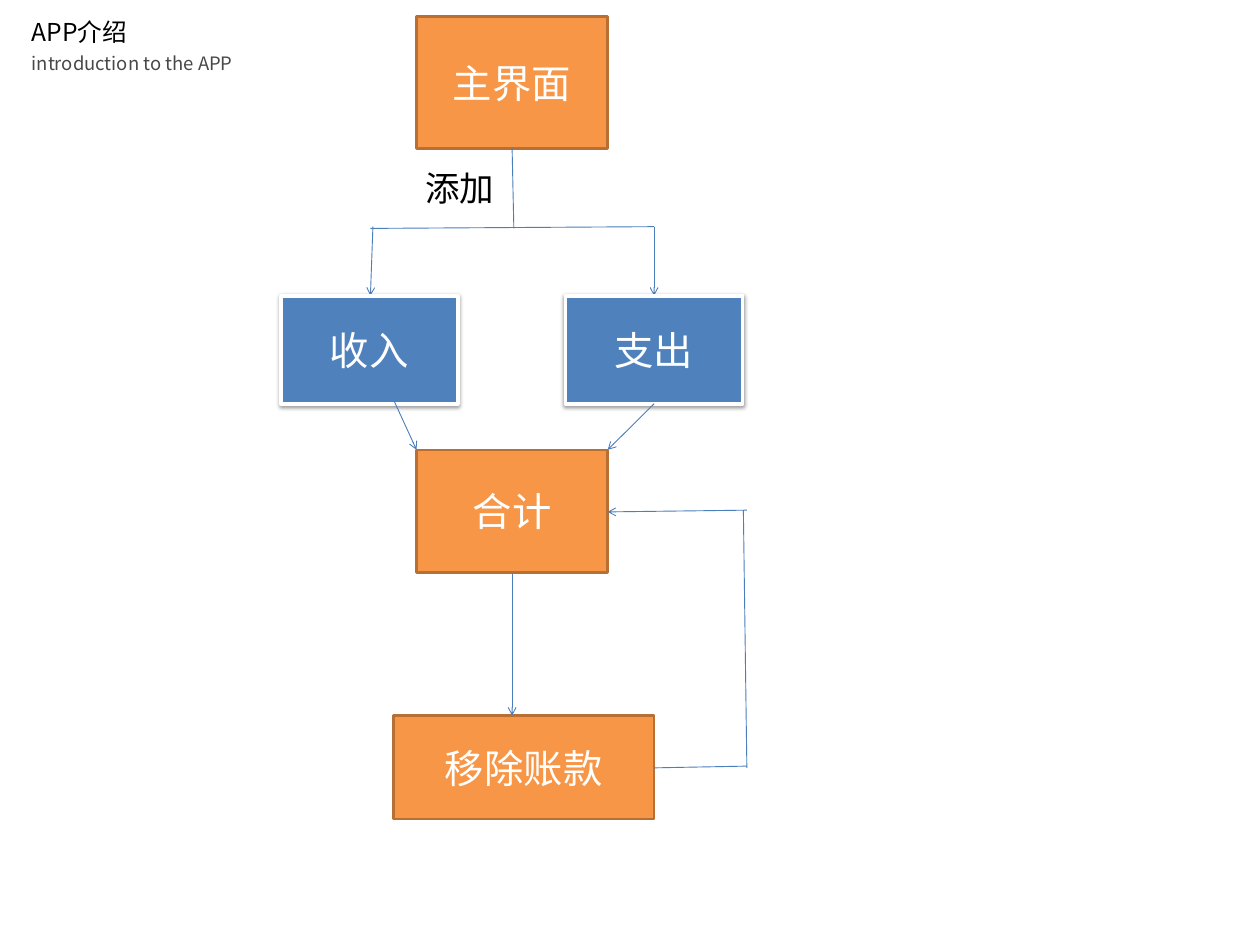
from lxml.etree import SubElement as Sub
from pptx import Presentation
from pptx.dml.color import RGBColor as RGB
from pptx.enum.shapes import MSO_CONNECTOR as Conn, MSO_SHAPE as Kind
from pptx.enum.text import MSO_ANCHOR as Anchor, MSO_AUTO_SIZE as Auto, PP_ALIGN as Align
from pptx.oxml.ns import qn
from pptx.util import Cm, Pt

ORANGE, RUST = "F79646", "B76F34"
BLUE, LINK = "4F81BD", "4B7EBC"
WHITE, BLACK, GRAY = "FFFFFF", "000000", "484848"
SANS, CJK = "Calibri", "Noto Sans CJK SC"

# Shared places, in cm: columns and rows of the flow
MID, LEFT, RIGHT = 14.68, 11.94, 17.42
OUT, LOOP = 18.75, 21.41
FORK, PAIR, SUM, DROP, BACK = 6.5, 8.48, 12.9, 20.52, 14.63

# Lines: x1, y1, x2, y2, arrow at the end
FORKS = [
    (MID, 4.24, 14.73, 6.55, False),
    (10.62, 6.55, OUT, FORK, False),
    (10.69, FORK, 10.62, PAIR, True),
    (OUT, FORK, OUT, PAIR, True),
]
LINKS = [
    (11.28, 11.46, LEFT, SUM, True),
    (OUT, 11.58, RIGHT, SUM, True),
    (MID, 16.43, MID, DROP, True),
    (OUT, 22.02, LOOP, 21.97, False),
    (LOOP, 22.02, 21.31, BACK, False),
    (LOOP, BACK, RIGHT, MID, True),
]


def paint(color, code):
    color.rgb = RGB.from_string(code)


def style(para, size, code, face=SANS):
    for run in para.runs:
        run.font.size = Pt(size)
        run.font.name = face
        paint(run.font.color, code)
        Sub(run.font._element, qn("a:ea"), typeface=CJK)


def add_box(slide, text, x, y, w, h, fill, edge, width):
    box = slide.shapes.add_shape(Kind.RECTANGLE, Cm(x), Cm(y), Cm(w), Cm(h))
    box.shadow.inherit = False
    box.fill.solid()
    paint(box.fill.fore_color, fill)
    paint(box.line.color, edge)
    box.line.width = Pt(width)
    frame = box.text_frame
    frame.text = text
    frame.vertical_anchor = Anchor.MIDDLE
    para = frame.paragraphs[0]
    para.alignment = Align.CENTER
    style(para, 32, WHITE)
    return box


def add_main(slide, text, x, y, w, h):
    add_box(slide, text, x, y, w, h, ORANGE, RUST, 2)


def add_entry(slide, text, x):
    box = add_box(slide, text, x, PAIR, 5.08, 3.1, BLUE, WHITE, 3)
    # Soft shadow straight below
    glow = Sub(box._element.spPr.find(qn("a:effectLst")), qn("a:outerShdw"),
               blurRad="40000", dist="20000", dir="5400000", rotWithShape="0")
    tint = Sub(glow, qn("a:srgbClr"), val=BLACK)
    Sub(tint, qn("a:alpha"), val="38000")


def add_line(slide, x1, y1, x2, y2, arrow):
    line = slide.shapes.add_connector(Conn.STRAIGHT, Cm(x1), Cm(y1), Cm(x2), Cm(y2))
    paint(line.line.color, LINK)
    line.line.width = Pt(0.75)
    if arrow:
        Sub(line.line._get_or_add_ln(), qn("a:tailEnd"), type="arrow")
    Sub(line._element.spPr, qn("a:effectLst"))


def add_text(slide, text, x, y, w, h):
    box = slide.shapes.add_textbox(Cm(x), Cm(y), Cm(w), Cm(h))
    frame = box.text_frame
    frame.word_wrap = True
    frame.text = text
    return frame


def add_head(slide, text, y, w, h, size, space, code):
    frame = add_text(slide, text, 0.91, y, w, h)
    frame.margin_left = frame.margin_right = 0
    frame.margin_top = frame.margin_bottom = 0
    para = frame.paragraphs[0]
    para.line_spacing = Pt(space)
    style(para, size, code, CJK)


def main():
    deck = Presentation()
    deck.slide_width, deck.slide_height = Cm(36.12), Cm(27.1)
    slide = deck.slides.add_slide(deck.slide_layouts[6])

    # Start screen and its two branches
    add_main(slide, "主界面", LEFT, 0.48, 5.48, 3.78)
    for line in FORKS:
        add_line(slide, *line)
    add_entry(slide, "收入", 8.05)
    add_entry(slide, "支出", 16.21)

    # Total, removal and the way back
    add_main(slide, "合计", LEFT, SUM, 5.48, 3.52)
    add_main(slide, "移除账款", 11.28, DROP, 7.47, 2.97)
    for line in LINKS:
        add_line(slide, *line)

    # Branch label
    label = add_text(slide, "添加", LEFT, 4.67, 2.5, 1.45)
    label.auto_size = Auto.SHAPE_TO_FIT_TEXT
    style(label.paragraphs[0], 28, BLACK)

    # Headings
    add_head(slide, "introduction to the APP", 1.55, 13.16, 0.56, 15, 16.5, GRAY)
    add_head(slide, "APP介绍", 0.48, 3.2, 0.76, 20, 24.2, BLACK)

    deck.save("out.pptx")


if __name__ == "__main__":
    main()
